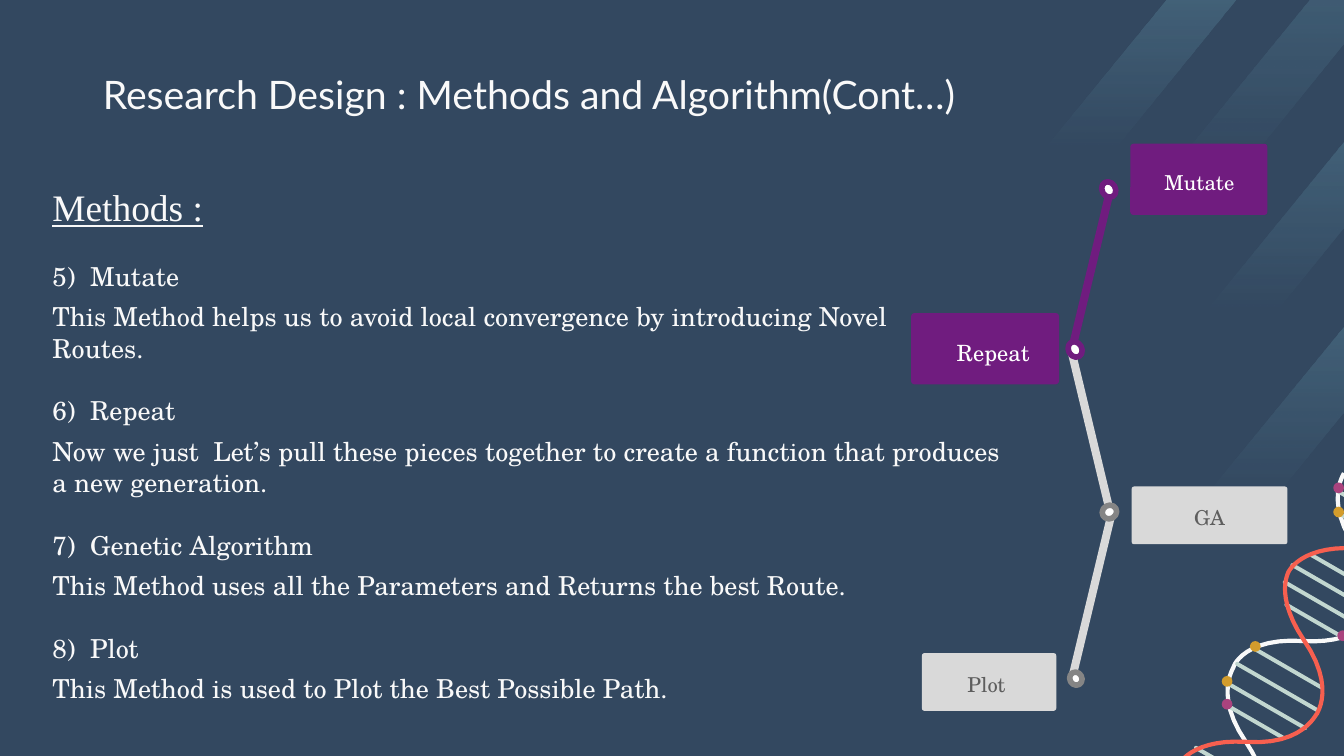
from dataclasses import dataclass

from lxml import etree
from pptx import Presentation
from pptx import util as u
from pptx.dml import color
from pptx.enum import shapes, text
from pptx.oxml import ns


@dataclass(frozen=True)
class Theme:
    back: str = "334860"
    light: str = "F9F9F9"
    white: str = "FFFFFF"
    purple: str = "701C7F"
    grey: str = "D9D9D9"
    dark_grey: str = "858585"
    label_grey: str = "5E5E5E"
    streak: str = "87D2E4"
    rung: str = "C2D7D0"
    red: str = "F75F4F"
    pink: str = "AA437E"
    gold: str = "D39C2C"
    sans: str = "Lato"
    serif: str = "TeX Gyre Schola"
    roman: str = "Times New Roman"
    title: int = 21
    heading: int = 20
    body: int = 14
    label: int = 11
    item_gap: float = 16.8
    line_gap: float = 4.8


T = Theme()
AUTO = shapes.MSO_SHAPE

# Methods: name, then the lines that explain it
METHODS = [
    ("5)  Mutate",
     "This Method helps us to avoid local convergence by introducing Novel", "Routes."),
    ("6)  Repeat",
     "Now we just  Let’s pull these pieces together to create a function that produces",
     "a new generation."),
    ("7)  Genetic Algorithm",
     "This Method uses all the Parameters and Returns the best Route."),
    ("8)  Plot", "This Method is used to Plot the Best Possible Path."),
]

# Helix: one turn of each strand as cubic curves, repeated by a shift
TURN = (-0.82, 1.44)
WHITE_TURN = [(10, 3.52), (10, 3.53), (9.85, 3.73), (10.09, 4.08),
              (10.29, 4.38), (10.23, 4.55), (10.2, 4.6),
              (10.17, 4.64), (10.06, 4.79), (9.7, 4.77),
              (9.27, 4.74), (9.18, 4.95), (9.18, 4.96)]
RED_TURN = [(10.62, 3.87), (10.61, 3.87), (10.52, 4.11), (10.09, 4.08),
            (9.74, 4.06), (9.62, 4.2), (9.59, 4.25),
            (9.57, 4.29), (9.5, 4.46), (9.7, 4.76),
            (9.94, 5.11), (9.8, 5.3), (9.8, 5.31)]
# Rungs: centre x, centre y, length
RUNGS = [(9.5, 5.11, 0.71), (9.15, 5.71, 0.61), (9.78, 4.62, 0.51),
         (10.17, 3.94, 0.51), (9.85, 4.5, 0.7), (10.24, 3.82, 0.7),
         (9.92, 4.38, 0.73), (10, 4.27, 0.59), (9.34, 5.37, 0.51),
         (9.42, 5.25, 0.7), (9.58, 4.97, 0.61)]
BEADS = {T.pink: [(9.92, 3.59), (9.95, 4.69), (9.09, 5.2)],
         T.gold: [(9.92, 3.77), (9.3, 4.77), (9.09, 5.03)]}

# Timeline: link centre y, tilt, colour
LINKS = [(4.45, 103.5, T.grey), (3.23, 76.5, T.grey), (2.0, 103.5, T.purple)]
# Label, size, box, text box, dot, fill, ring, text colour
NODES = [
    ("GA", T.label, (8.42, 3.62, 1.16, 0.43), (8.45, 3.63, 1.1, 0.39),
     (8.2, 3.76, 0.11, 0.1), T.grey, T.dark_grey, T.label_grey),
    ("Mutate", T.label, (8.41, 1.07, 1.02, 0.53), (8.44, 1.14, 0.97, 0.5),
     (8.2, 1.35, 0.1, 0.12), T.purple, T.purple, T.white),
    ("Plot", T.label, (6.86, 4.86, 1, 0.43), (6.87, 4.87, 0.94, 0.39),
     (7.96, 5, 0.09, 0.1), T.grey, T.dark_grey, T.label_grey),
    ("Repeat", T.label + 1, (6.78, 2.33, 1.1, 0.53), (6.87, 2.39, 1.04, 0.5),
     (7.95, 2.54, 0.1, 0.12), T.purple, T.purple, T.white),
]


def rgb(value):
    return color.RGBColor.from_string(value)


def apply(obj, values):
    for name, value in values.items():
        setattr(obj, name, value)


def place(sp, box):
    apply(sp, dict(zip(("left", "top", "width", "height"), map(u.Inches, box))))


def frame(sp, **values):
    margins = {f"margin_{side}": u.Inches(0.1) for side in ("left", "top", "right", "bottom")}
    tf = sp.text_frame
    apply(tf, {**margins, "word_wrap": True, "vertical_anchor": text.MSO_ANCHOR.TOP, **values})
    return tf


def write(p, words, size, face, ink=T.light, **values):
    r = p.add_run()
    r.text = words
    apply(r.font, {"size": u.Pt(size), "name": face, **values})
    r.font.color.rgb = rgb(ink)


def add_shape(s, kind, box, fill, angle=0, ring=None, radius=None):
    sp = s.shapes.add_shape(kind, *map(u.Inches, box))
    sp.shadow.inherit = False
    sp.rotation = angle
    sp.fill.solid()
    sp.fill.fore_color.rgb = rgb(fill)
    if radius is not None:
        sp.adjustments[0] = radius
    if ring:
        sp.line.color.rgb = rgb(ring)
        sp.line.width = u.Pt(3)
    else:
        sp.line.fill.background()


def add_bar(s, x, y, length, thick, angle, fill):
    box = (x - length / 2, y - thick / 2, length, thick)
    add_shape(s, AUTO.ROUNDED_RECTANGLE, box, fill, angle, radius=0.5)


def add_outline(s, points, close):
    first, *rest = [(u.Inches(x), u.Inches(y)) for x, y in points]
    builder = s.shapes.build_freeform(*first)
    builder.add_line_segments(rest, close=close)
    sp = builder.convert_to_shape()
    sp.shadow.inherit = False
    return sp


def add_streak(s, points, fade):
    sp = add_outline(s, points, True)
    sp.line.fill.background()
    sp.fill.solid()
    solid = sp.element.spPr.find(ns.qn("a:solidFill"))
    grad = etree.Element(ns.qn("a:gradFill"))
    stops = etree.SubElement(grad, ns.qn("a:gsLst"))
    for pos, alpha in ((0, 18), (fade, 0), (100, 0)):
        stop = etree.SubElement(stops, ns.qn("a:gs"), pos=str(pos * 1000))
        ink = etree.SubElement(stop, ns.qn("a:srgbClr"), val=T.streak)
        etree.SubElement(ink, ns.qn("a:alpha"), val=str(alpha * 1000))
    etree.SubElement(grad, ns.qn("a:lin"), ang="5400000", scaled="0")
    solid.getparent().replace(solid, grad)


def curve(points, steps=12):
    yield points[0]
    for i in range(0, len(points) - 1, 3):
        a, b, c, d = points[i:i + 4]
        for k in range(1, steps + 1):
            t = k / steps
            weights = ((1 - t) ** 3, 3 * t * (1 - t) ** 2, 3 * t * t * (1 - t), t ** 3)
            yield tuple(sum(w * q[n] for w, q in zip(weights, (a, b, c, d))) for n in (0, 1))


def add_strand(s, turn, ink):
    line = list(curve(turn))
    line += [(x + TURN[0], y + TURN[1]) for x, y in line[1:]]
    sp = add_outline(s, line, False)
    sp.fill.background()
    sp.line.color.rgb = rgb(ink)
    sp.line.width = u.Pt(2.25)


def add_helix(s):
    add_strand(s, WHITE_TURN, T.light)
    for x, y, length in RUNGS:
        add_bar(s, x, y, length, 0.03, 30, T.rung)
    add_strand(s, RED_TURN, T.red)
    for ink, spots in BEADS.items():
        for x, y in spots:
            add_shape(s, AUTO.OVAL, (x, y, 0.08, 0.08), ink)


def add_node(s, words, size, box, text_box, dot, fill, ring, ink):
    add_shape(s, AUTO.ROUNDED_RECTANGLE, box, fill, radius=0.045)
    p = frame(s.shapes.add_textbox(*map(u.Inches, text_box))).paragraphs[0]
    apply(p, {"alignment": text.PP_ALIGN.CENTER, "line_spacing": 1.15, "space_after": u.Pt(16)})
    write(p, words, size, T.serif, ink)
    add_shape(s, AUTO.OVAL, dot, T.white, 330, ring)


def plain_line(p, before):
    """Set the spacing, and drop the bullet and indent of the template."""
    apply(p, {"alignment": text.PP_ALIGN.LEFT, "space_before": u.Pt(before), "space_after": u.Pt(0)})
    pPr = p._p.get_or_add_pPr()
    pPr.set("marL", "0")
    pPr.set("indent", "0")
    etree.SubElement(pPr, ns.qn("a:buNone"))


def add_texts(s):
    title, body = s.placeholders
    place(title, (0.59, 0.42, 9.58, 0.81))
    p = frame(title, auto_size=text.MSO_AUTO_SIZE.NONE).paragraphs[0]
    p.alignment = text.PP_ALIGN.LEFT
    write(p, " Research Design : Methods and Algorithm(Cont…)", T.title, T.sans)

    place(body, (0.29, 1.27, 8.48, 4.11))
    tf = frame(body, auto_size=text.MSO_AUTO_SIZE.SHAPE_TO_FIT_TEXT)
    plain_line(tf.paragraphs[0], 0)
    write(tf.paragraphs[0], "Methods :", T.heading, T.roman, underline=True)
    for method in METHODS:
        for words, before in zip(method, (T.item_gap, T.line_gap, 0)):
            p = tf.add_paragraph()
            plain_line(p, before)
            write(p, words, T.body, T.serif)


def main():
    prs = Presentation()
    prs.slide_width = u.Inches(10)
    prs.slide_height = prs.slide_width * 9 // 16
    s = prs.slides.add_slide(prs.slide_layouts[1])
    s.background.fill.solid()
    s.background.fill.fore_color.rgb = rgb(T.back)

    # Slanted streaks
    add_streak(s, [(8.68, 0), (7.67, 1.24), (7.67, 1.89), (9.2, 0)], 58)
    for y, fade in ((2.42, 68), (1.05, 68), (-0.32, 82)):
        add_streak(s, [(10, y), (8.5, y + 1.84), (9.03, y + 1.84), (10, y + 0.64)], fade)

    add_helix(s)
    add_texts(s)

    # Timeline
    for y, tilt, ink in LINKS:
        add_bar(s, 8.12, y, 1.3, 0.06, tilt, ink)
    for node in NODES:
        add_node(s, *node)
    prs.save("out.pptx")


if __name__ == "__main__":
    main()
